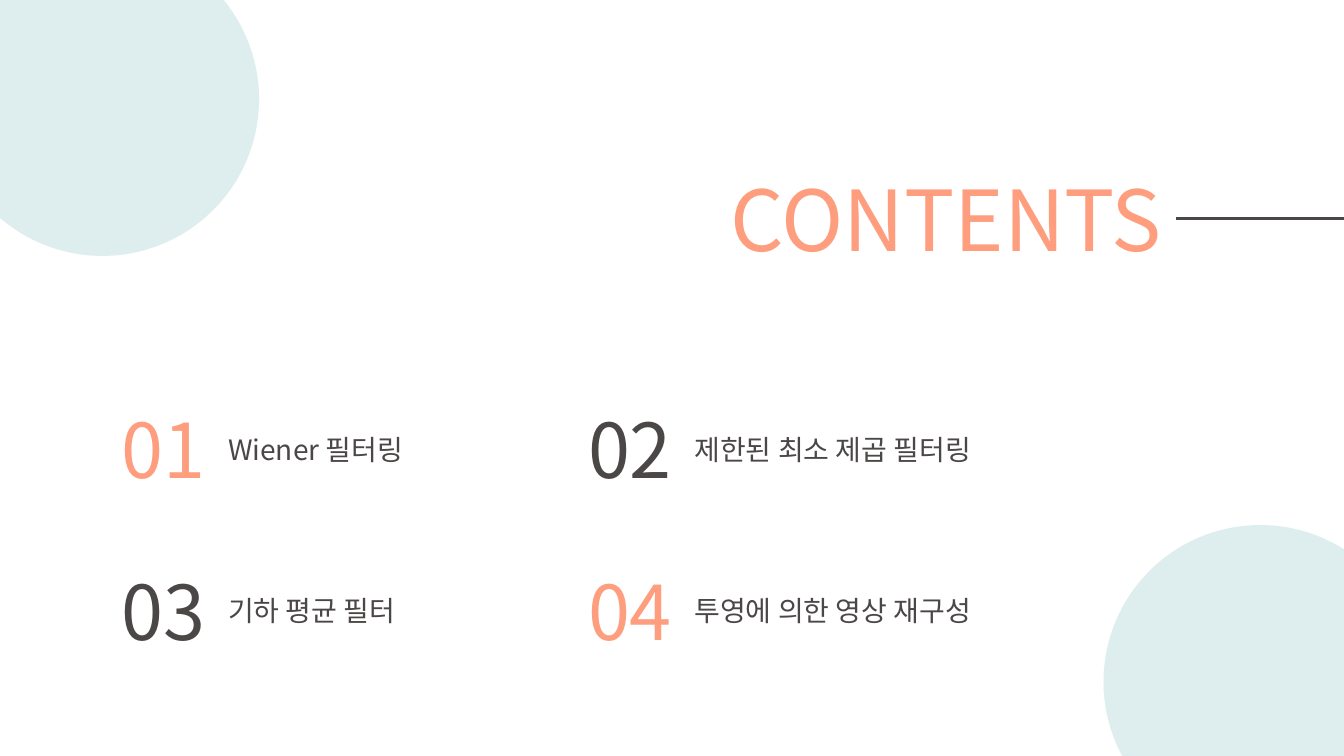
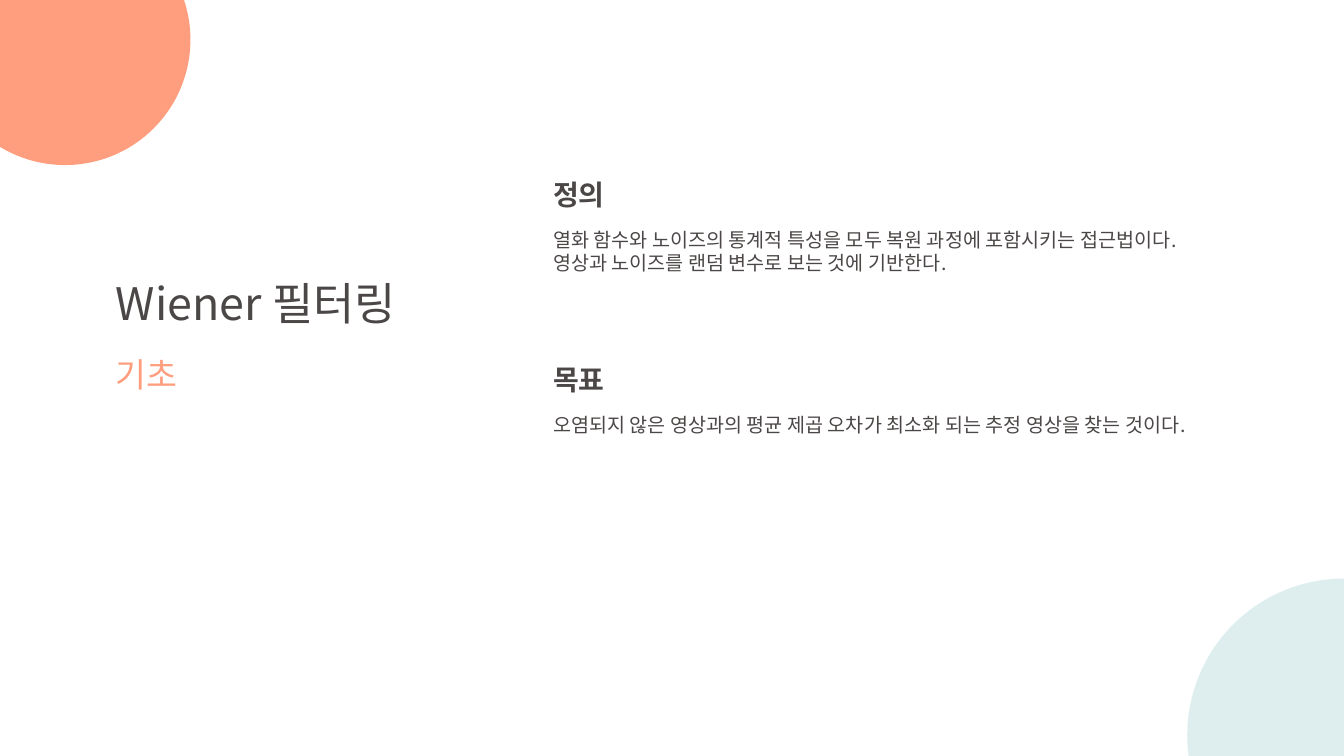
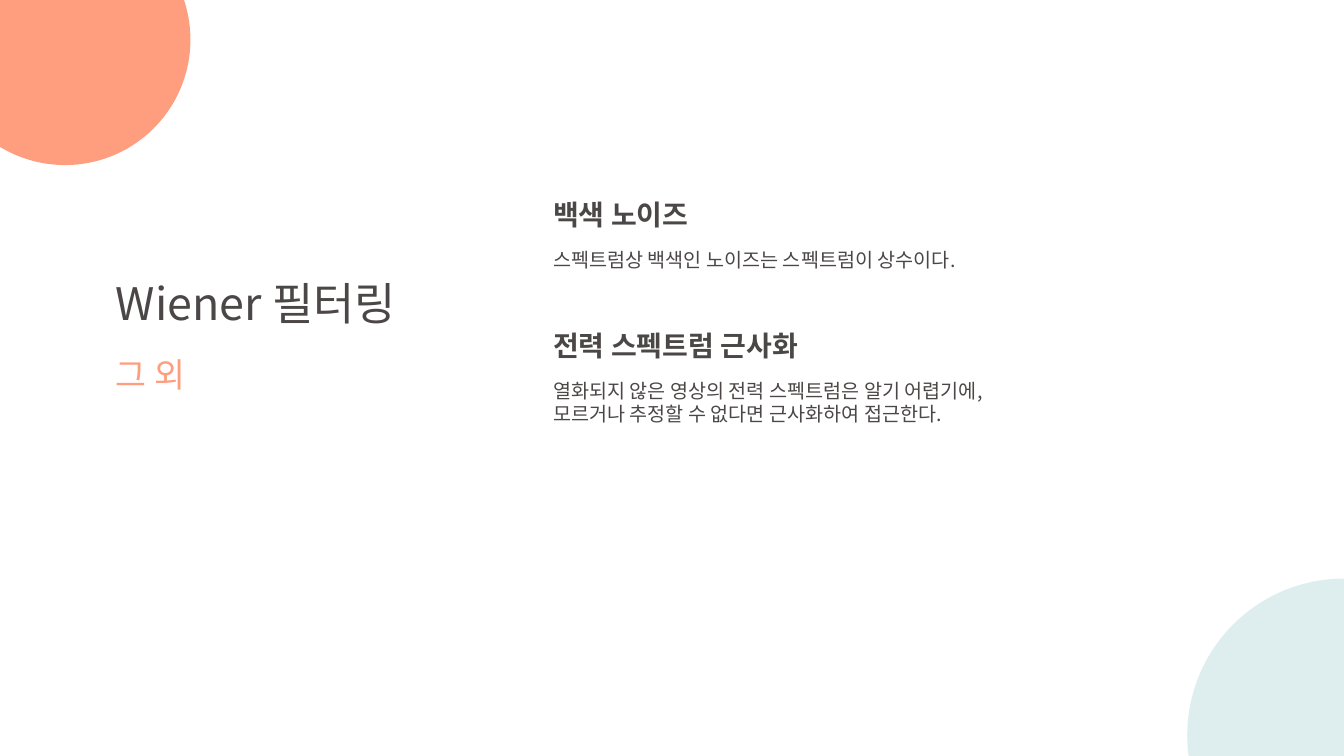
from lxml.etree import SubElement
from pptx import Presentation
from pptx.dml.color import RGBColor
from pptx.enum.shapes import MSO_CONNECTOR, MSO_SHAPE
from pptx.enum.text import MSO_AUTO_SIZE
from pptx.oxml import parse_xml
from pptx.oxml.ns import qn
from pptx.util import Cm, Pt

CORAL = RGBColor(0xFE, 0x9E, 0x7E)
CHARCOAL = RGBColor(0x4C, 0x47, 0x47)
MINT = RGBColor(0xC8, 0xE4, 0xE5)
FONT = "Noto Sans CJK KR"
FRAME_FORMAT = {"word_wrap": False, "auto_size": MSO_AUTO_SIZE.SHAPE_TO_FIT_TEXT}
OUTLINE = (
    '<a:ln xmlns:a="http://schemas.openxmlformats.org/drawingml/2006/main" w="9525">'
    '<a:solidFill><a:srgbClr val="{}"><a:alpha val="20000"/></a:srgbClr></a:solidFill></a:ln>'
)
MINT_SIZE = 7.9
CORAL_SIZE = 6.32


def add_circle(slide, left, top, size, color, opacity=100):
    circle = slide.shapes.add_shape(MSO_SHAPE.OVAL, Cm(left), Cm(top), Cm(size), Cm(size))
    circle.shadow.inherit = False
    circle.line.fill.background()
    circle.fill.solid()
    circle.fill.fore_color.rgb = color
    if opacity < 100:
        tint = circle.fill._xPr.find(qn("a:solidFill"))[0]
        SubElement(tint, qn("a:alpha"), val=str(opacity * 1000))


def add_text(slide, left, top, width, height, lines, size, color=CHARCOAL, bold=False):
    box = slide.shapes.add_textbox(Cm(left), Cm(top), Cm(width), Cm(height))
    frame = box.text_frame
    for key, value in FRAME_FORMAT.items():
        setattr(frame, key, value)
    frame.text = "\n".join(lines)
    for paragraph in frame.paragraphs:
        font = paragraph.runs[0].font
        for key, value in {"name": FONT, "size": Pt(size), "bold": bold}.items():
            setattr(font, key, value)
        font.color.rgb = color
        font._rPr.insert(0, parse_xml(OUTLINE.format(color)))
        font._rPr.find(qn("a:latin")).addnext(
            font._rPr.makeelement(qn("a:ea"), {"typeface": FONT}))


deck = Presentation()
deck.slide_width = Cm(33.87)
deck.slide_height = Cm(19.05)
blank = deck.slide_layouts[6]

contents = deck.slides.add_slide(blank)
add_text(contents, 18.16, 4.09, 11.48, 2.82, ["CONTENTS"], 60, CORAL)
rule = contents.shapes.add_connector(
    MSO_CONNECTOR.STRAIGHT, Cm(29.64), Cm(5.5), Cm(33.87), Cm(5.5))
rule.line.color.rgb = CHARCOAL
rule.line.width = Pt(2.25)
SubElement(rule._element.spPr, qn("a:effectLst"))
add_circle(contents, -1.37, -1.45, MINT_SIZE, MINT, 60)
add_circle(contents, 27.81, 13.23, MINT_SIZE, MINT, 60)

chapters = [
    ("Wiener 필터링", 5.18, CORAL),
    ("제한된 최소 제곱 필터링", 8.38, CHARCOAL),
    ("기하 평균 필터", 5.28, CHARCOAL),
    ("투영에 의한 영상 재구성", 8.38, CORAL),
]
for index, (chapter, width, color) in enumerate(chapters):
    row, column = divmod(index, 2)
    left = 2.82 + column * 11.75
    top = 10.03 + row * 4.07
    add_text(contents, left, top, 2.67, 2.57, [f"{index + 1:02}"], 54, color)
    add_text(contents, left + 2.68, top + 0.74, width, 1.12, [chapter], 20)

topics = [
    ("기초", 2.24, [
        (4.34, "정의", 1.93, 18.14, [
            "열화 함수와 노이즈의 통계적 특성을 모두 복원 과정에 포함시키는 접근법이다.",
            "영상과 노이즈를 랜덤 변수로 보는 것에 기반한다."]),
        (9.02, "목표", 1.93, 18.39, [
            "오염되지 않은 영상과의 평균 제곱 오차가 최소화 되는 추정 영상을 찾는 것이다."]),
    ]),
    ("그 외", 2.51, [
        (4.85, "백색 노이즈", 4.32, 11.79, [
            "스펙트럼상 백색인 노이즈는 스펙트럼이 상수이다."]),
        (8.15, "전력 스펙트럼 근사화", 7.42, 12.65, [
            "열화되지 않은 영상의 전력 스펙트럼은 알기 어렵기에,",
            "모르거나 추정할 수 없다면 근사화하여 접근한다."]),
    ]),
]
for subtitle, subtitle_width, sections in topics:
    topic = deck.slides.add_slide(blank)
    add_circle(topic, -1.52, -2.16, CORAL_SIZE, CORAL)
    add_text(topic, 2.67, 6.83, 7.98, 1.63, ["Wiener 필터링"], 32)
    add_text(topic, 2.67, 8.79, subtitle_width, 1.27, [subtitle], 24, CORAL)
    add_circle(topic, 29.92, 14.58, MINT_SIZE, MINT, 60)
    for top, heading, heading_width, body_width, body in sections:
        add_text(topic, 13.69, top, heading_width, 1.12, [heading], 20, bold=True)
        add_text(topic, 13.69, top + 1.27, body_width, 0.27 + 0.59 * len(body), body, 14)

deck.save("out.pptx")
